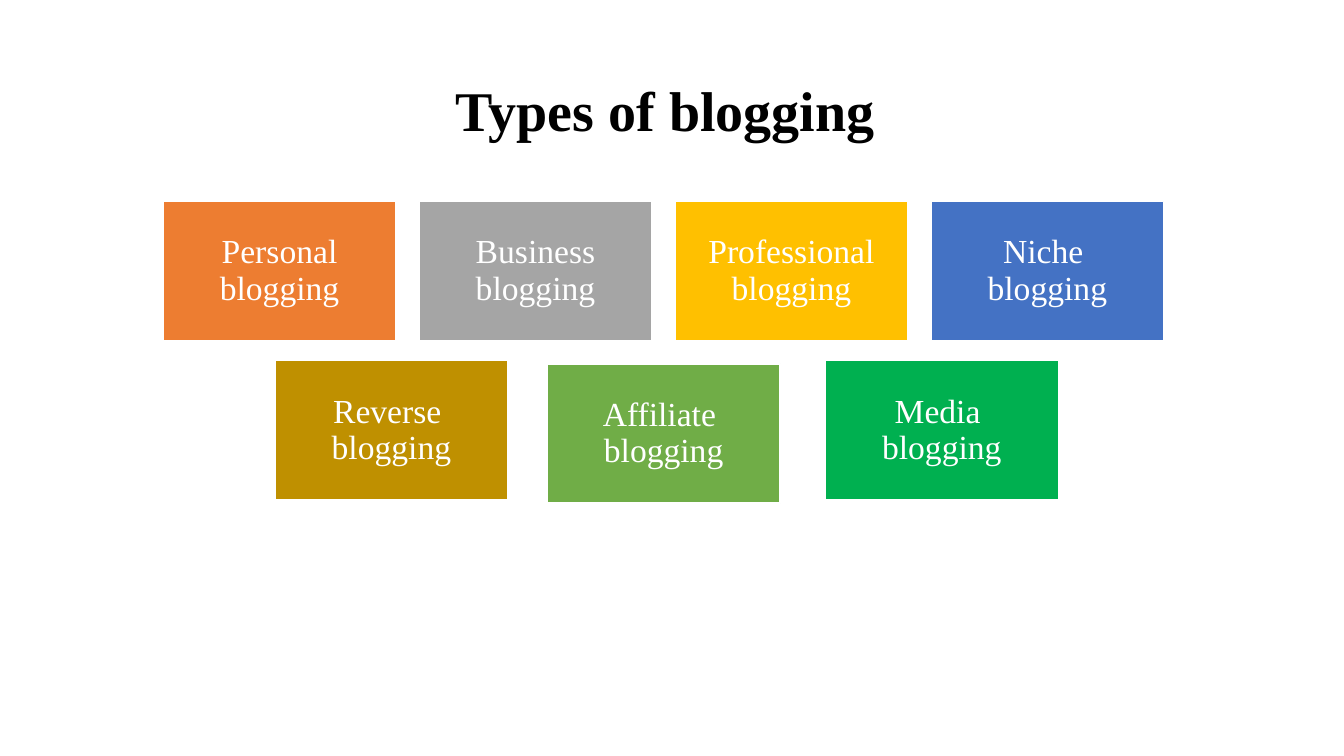
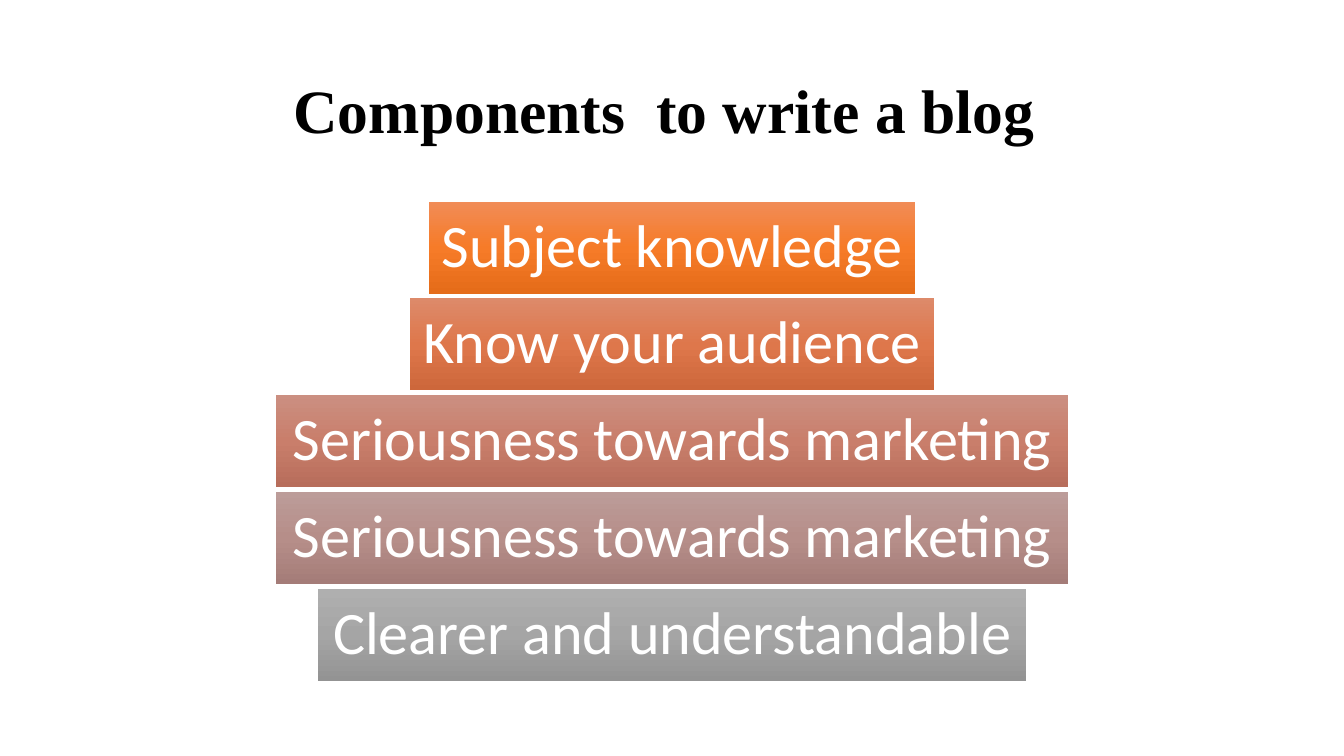
from copy import deepcopy

from pptx import Presentation
from pptx.dml.color import RGBColor
from pptx.enum.shapes import MSO_SHAPE
from pptx.enum.text import MSO_ANCHOR, PP_ALIGN
from pptx.util import Cm, Pt

SLIDE_W, SLIDE_H = 33.87, 19.05
SERIF, SANS = "Times New Roman", "Calibri"
BLACK, WHITE = "000000", "FFFFFF"

CARD_W, CARD_H = 5.87, 3.51
CARD_LEFT, CARD_TOP, CARD_STEP = 4.11, 5.08, 6.45
TOP_CARDS = [
    ("Personal blogging", "ED7D31"),
    ("Business blogging", "A5A5A5"),
    ("Professional blogging", "FFC000"),
    ("Niche  blogging", "4472C4"),
]
LOWER_CARDS = [  # text, colour, left, top
    ("Reverse  blogging", "BF9000", 6.93, 9.09),
    ("Affiliate  blogging", "70AD47", 13.79, 9.17),
    ("Media  blogging", "00B050", 20.8, 9.09),
]

BAND_TOP, BAND_H, BAND_STEP = 5.08, 2.32, 2.44
BANDS = [  # text, width, gradient from top to bottom
    ("Subject knowledge", 12.24, ("F18C57", "F67B28", "E56C19")),
    ("Know your audience", 13.2, ("DD8A6A", "DE774B", "CD673B")),
    ("Seriousness towards marketing", 19.98, ("CB8F81", "C97E6B", "B76D5B")),
    ("Seriousness towards marketing", 19.98, ("BC9C99", "B68E89", "A47C78")),
    ("Clearer and understandable", 17.86, ("AFAFAF", "A5A5A5", "939393")),
]


def rgb(color):
    return RGBColor.from_string(color)


def set_text(sp, text, font, size, color, bold=False, inset=None, wrap=True):
    """Write one centred paragraph, with an equal inset on all sides if given."""
    tf = sp.text_frame
    tf.text = text
    tf.word_wrap = wrap
    tf.vertical_anchor = MSO_ANCHOR.MIDDLE
    if inset is not None:
        tf.margin_left = tf.margin_right = Cm(inset)
        tf.margin_top = tf.margin_bottom = Cm(inset)
    p = tf.paragraphs[0]
    p.alignment = PP_ALIGN.CENTER
    p.line_spacing = 0.9
    r = p.runs[0]
    r.font.name = font
    r.font.size = Pt(size)
    r.font.bold = bold
    r.font.color.rgb = rgb(color)


def fill_gradient(sp, colors):
    """Fill from top to bottom with evenly spaced colours."""
    sp.fill.gradient()
    sp.fill.gradient_angle = 270
    first = sp.fill.gradient_stops[0]
    stop_list = sp._element.spPr.gradFill.gsLst
    for _ in colors[2:]:
        stop_list.append(deepcopy(stop_list[0]))
    first.position = 0
    for i, (stop, color) in enumerate(zip(sp.fill.gradient_stops, colors)):
        stop.position = i / (len(colors) - 1)
        stop.color.rgb = rgb(color)


def add_rect(slide, left, top, width, height):
    sp = slide.shapes.add_shape(
        MSO_SHAPE.RECTANGLE, Cm(left), Cm(top), Cm(width), Cm(height))
    sp.shadow.inherit = False
    return sp


def add_card(slide, text, color, left, top):
    sp = add_rect(slide, left, top, CARD_W, CARD_H)
    sp.fill.solid()
    sp.fill.fore_color.rgb = rgb(color)
    sp.line.color.rgb = rgb(WHITE)
    sp.line.width = Pt(1)
    set_text(sp, text, SERIF, 24, WHITE, inset=0.25)


def add_band(slide, text, width, colors, top):
    sp = add_rect(slide, (SLIDE_W - width) / 2, top, width, BAND_H)
    fill_gradient(sp, colors)
    sp.line.fill.background()
    set_text(sp, text, SANS, 43, WHITE, inset=0.3, wrap=False)


def add_titled_slide(prs, title, size):
    slide = prs.slides.add_slide(prs.slide_layouts[6])
    sp = slide.shapes.add_textbox(Cm(2.33), Cm(1.01), Cm(29.21), Cm(3.68))
    set_text(sp, title, SERIF, size, BLACK, bold=True)
    return slide


def build_types(prs):
    slide = add_titled_slide(prs, "Types of blogging ", 40)
    for i, (text, color) in enumerate(TOP_CARDS):
        add_card(slide, text, color, CARD_LEFT + i * CARD_STEP, CARD_TOP)
    for card in LOWER_CARDS:
        add_card(slide, *card)


def build_components(prs):
    slide = add_titled_slide(prs, "Components  to write a blog ", 44)
    for i, band in enumerate(BANDS):
        add_band(slide, *band, BAND_TOP + i * BAND_STEP)


def main():
    prs = Presentation()
    prs.slide_width, prs.slide_height = Cm(SLIDE_W), Cm(SLIDE_H)
    build_types(prs)
    build_components(prs)
    prs.save("out.pptx")


if __name__ == "__main__":
    main()
